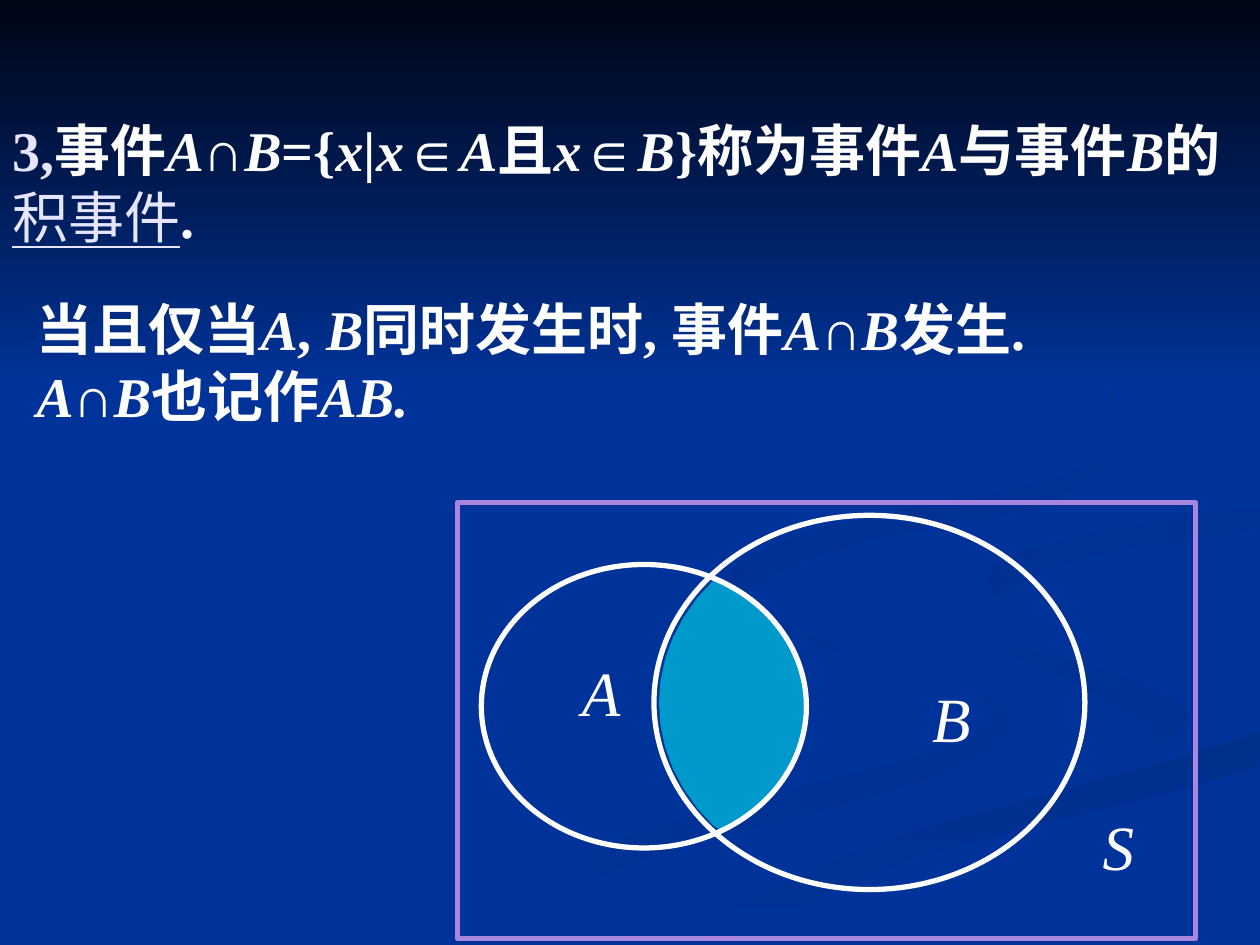
from math import cos, radians, sin

from pptx import Presentation
from pptx.dml.color import RGBColor
from pptx.enum.shapes import MSO_SHAPE
from pptx.enum.text import MSO_ANCHOR, PP_ALIGN
from pptx.util import Inches, Pt

BLUE, WHITE, PALE, VIOLET, TEAL = "003399", "FFFFFF", "E5E5FF", "A886E0", "0099CC"


def color(value):
    return RGBColor.from_string(value)


def paint(shape, colors, angle=0):
    """Fill without outline: one colour is solid, two make a gradient, angle clockwise."""
    shape.shadow.inherit = False
    shape.line.fill.background()
    if len(colors) == 1:
        shape.fill.solid()
        shape.fill.fore_color.rgb = color(colors[0])
        return
    shape.fill.gradient()
    shape.fill.gradient_angle = -angle % 360
    for stop, value in zip(shape.fill.gradient_stops, colors):
        stop.color.rgb = color(value)


deck = Presentation()
deck.slide_width, deck.slide_height = Inches(10), Inches(7.5)
page = deck.slides.add_slide(deck.slide_layouts[6])
page.background.fill.solid()
page.background.fill.fore_color.rgb = color(BLUE)

# Background ribbons: colours, angle and the knots of a closed smooth outline
ribbons = [
    ([BLUE, "003193"], 0, [
        (7.81, 5.53), (6.82, 5.19), (5.94, 4.85), (5.75, 4.6), (5.81, 4.84), (6.54, 5.13),
        (7.52, 5.43), (7.85, 5.66), (7.49, 5.94), (5.79, 6.39), (4.17, 6.9), (3, 7.49),
        (3.61, 7.49), (4.99, 6.87), (7.21, 6.23), (8, 5.81)]),
    ([BLUE, "003193"], 45, [
        (9.43, 5.7), (8.88, 5.35), (7.58, 4.98), (7.24, 4.64), (7.46, 5), (8.38, 5.36),
        (9.18, 5.81), (8.94, 6.05)]),
    (["002F8C", BLUE], 90, [
        (5.03, 7.49), (5.71, 7.49), (7.22, 6.82), (9.98, 6.09), (9.98, 5.81), (7.97, 6.38),
        (6.3, 6.93)]),
    ([BLUE], 0, [
        (7.25, 4.64), (7.59, 4.98), (8.89, 5.35), (9.43, 5.7), (8.92, 6.05), (6.63, 6.68),
        (4.77, 7.49), (5.19, 7.47), (6.96, 6.69), (9.99, 5.81), (9.99, 5.38), (8.32, 4.98),
        (7.81, 4.63), (8.35, 4.3), (9.99, 4.02), (9.99, 3.87), (7.88, 4.22)]),
    (["003091", BLUE], 45, [
        (7.81, 4.6), (8.26, 4.96), (8.05, 4.72), (8.59, 4.43), (9.98, 4.2), (9.98, 4.02),
        (8.35, 4.3)]),
    (["002F8E", BLUE], 45, [
        (6.83, 4.3), (8.25, 4.02), (8.94, 3.44), (8.54, 2.83), (7.62, 2.33), (8.46, 2.79),
        (8.89, 3.35), (8.42, 3.78), (6.49, 4.2), (5.77, 4.62), (6.22, 5), (5.93, 4.7)]),
]
outlines = []
for colors, angle, knots in ribbons:
    points = []
    for index, knot in enumerate(knots):
        following = knots[(index + 1) % len(knots)]
        after = knots[(index + 2) % len(knots)]
        for t in (0, 0.25, 0.5, 0.75):
            x, y = [
                b + t * (c - a + t * (2 * a - 5 * b + 4 * c - d
                                      + t * (3 * b - a - 3 * c + d))) / 2
                for a, b, c, d in zip(knots[index - 1], knot, following, after)]
            points.append((min(x, 10), min(y, 7.5)))
    outlines.append((colors, angle, points))

# Overlap of the events: right arc of A, then left arc of B
right_arc = [(5.11 + 1.29 * cos(radians(turn)), 5.6 + 1.12 * sin(radians(turn)))
             for turn in range(-64, 63, 7)]
left_arc = [(6.9 + 1.67 * cos(radians(turn)), 5.58 + 1.45 * sin(radians(turn)))
            for turn in range(138, 223, 7)]
outlines.append(([TEAL], 0, right_arc + left_arc))

for colors, angle, points in outlines:
    corners = [(Inches(x), Inches(y)) for x, y in points]
    builder = page.shapes.build_freeform(*corners[0])
    builder.add_line_segments(corners[1:], close=True)
    paint(builder.convert_to_shape(), colors, angle)

top_shade = page.shapes.add_shape(MSO_SHAPE.RECTANGLE, 0, 0, Inches(10), Inches(3.08))
paint(top_shade, ["000514", BLUE], 90)

# Venn diagram: sample space S and events B and A
for kind, line_color, bounds in [
    (MSO_SHAPE.RECTANGLE, VIOLET, (3.63, 3.99, 5.86, 3.46)),
    (MSO_SHAPE.OVAL, WHITE, (5.19, 4.09, 3.42, 2.97)),
    (MSO_SHAPE.OVAL, WHITE, (3.82, 4.48, 2.58, 2.25)),
]:
    outline = page.shapes.add_shape(kind, *map(Inches, bounds))
    outline.shadow.inherit = False
    outline.fill.background()
    outline.line.color.rgb = color(line_color)
    outline.line.width = Pt(3)

# Each paragraph is a list of (text, formats); letters between asterisks are italic
plain = {"bold": True}
definition = [[
    ("3,", {"bold": True, "color": PALE}),
    ("事件*A*∩*B*={*x*|*x*∈*A*且*x*∈*B*}称为事件*A*与事件*B*的", plain),
    ("积事件", {"bold": False, "underline": True, "color": PALE}),
    (".", plain),
]]
meaning = [
    [("当且仅当*A*, *B*同时发生时, 事件*A*∩*B*发生.", plain)],
    [("*A*∩*B*也记作*AB.*", plain)],
]
label = {"wrap": False, "align": PP_ALIGN.CENTER, "anchor": MSO_ANCHOR.TOP, "size": 36}
body = {"wrap": True, "align": PP_ALIGN.LEFT, "anchor": MSO_ANCHOR.MIDDLE, "size": 32}
for bounds, layout, paragraphs in [
    ((0, 0.13, 10, 2.64), body, definition),
    ((0.19, 1.55, 10, 2.64), body, meaning),
    ((8.65, 6.36, 0.45, 0.7), label, [[("*S*", {})]]),
    ((4.52, 5.14, 0.5, 0.7), label, [[("*A*", {})]]),
    ((7.3, 5.34, 0.5, 0.7), label, [[("*B*", {})]]),
]:
    box = page.shapes.add_textbox(*map(Inches, bounds))
    frame = box.text_frame
    frame.word_wrap = layout["wrap"]
    frame.vertical_anchor = layout["anchor"]
    for number, pieces in enumerate(paragraphs):
        para = frame.add_paragraph() if number else frame.paragraphs[0]
        para.alignment = layout["align"]
        for text, formats in pieces:
            for part, words in enumerate(text.split("*")):
                if not words:
                    continue
                span = para.add_run()
                span.text = words
                settings = {"name": "Times New Roman", "size": Pt(layout["size"]),
                            "italic": part % 2 == 1, **formats}
                span.font.color.rgb = color(settings.pop("color", WHITE))
                for name, value in settings.items():
                    setattr(span.font, name, value)

deck.save("out.pptx")
